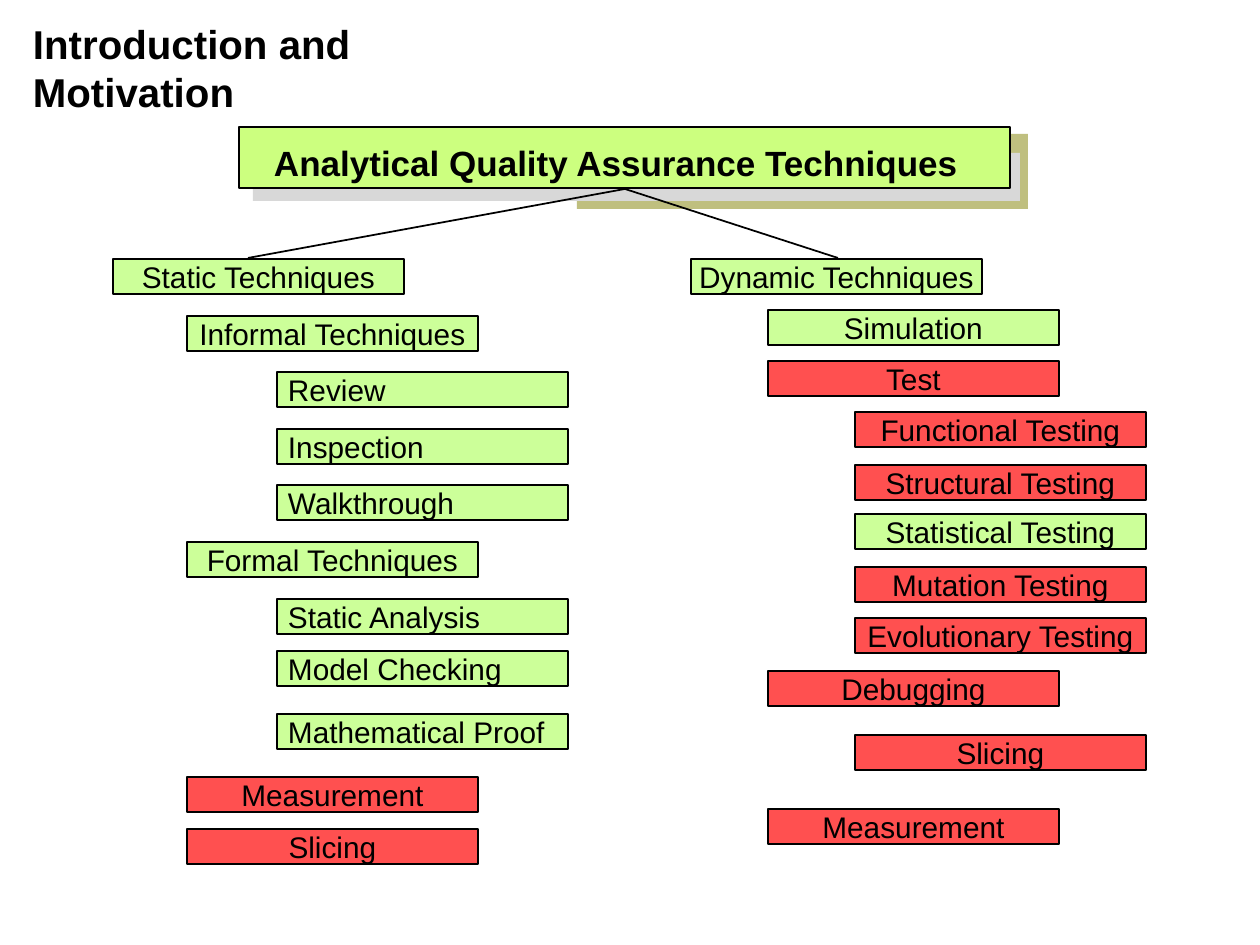
from lxml.etree import SubElement
from pptx import Presentation
from pptx.dml.color import RGBColor
from pptx.enum.shapes import MSO_CONNECTOR, MSO_SHAPE
from pptx.enum.text import MSO_ANCHOR, PP_ALIGN
from pptx.oxml.ns import qn
from pptx.util import Emu, Pt

PX = 914400 // 126
COLORS = {
    "ink": "000000",
    "green": "CCFF99",
    "red": "FF5050",
    "header": "CCFF7F",
    "olive": "BFBF7F",
    "gray": "D8D8D8",
}
TITLE = "Introduction and Motivation"
HEADER = "Analytical Quality Assurance Techniques"
HEADER_LAYERS = [
    ("olive", 577, 134, 451, 75, False),
    ("gray", 253, 153, 767, 48, False),
    ("header", 239, 127, 771, 61, True),
]
BOX_WIDTH, BOX_HEIGHT = 291, 35
STATIC = [
    ("Static Techniques", 0, 259, "green"),
    ("Informal Techniques", 1, 316, "green"),
    ("Review", 2, 372, "green"),
    ("Inspection", 2, 429, "green"),
    ("Walkthrough", 2, 485, "green"),
    ("Formal Techniques", 1, 542, "green"),
    ("Static Analysis", 2, 599, "green"),
    ("Model Checking", 2, 651, "green"),
    ("Mathematical Proof", 2, 714, "green"),
    ("Measurement", 1, 777, "red"),
    ("Slicing", 1, 829, "red"),
]
DYNAMIC = [
    ("Dynamic Techniques", 0, 259, "green"),
    ("Simulation", 1, 310, "green"),
    ("Test", 1, 361, "red"),
    ("Functional Testing", 2, 412, "red"),
    ("Structural Testing", 2, 465, "red"),
    ("Statistical Testing", 2, 514, "green"),
    ("Mutation Testing", 2, 567, "red"),
    ("Evolutionary Testing", 2, 618, "red"),
    ("Debugging", 1, 671, "red"),
    ("Slicing", 2, 735, "red"),
    ("Measurement", 1, 809, "red"),
]
BRANCHES = [
    (STATIC, (113, 187, 277), PP_ALIGN.LEFT),
    (DYNAMIC, (691, 768, 855), PP_ALIGN.CENTER),
]
FORK = (625, 189)
BRANCH_ENDS = [(248, 258), (838, 258)]


def px(*values):
    return [Emu(value * PX) for value in values]


def color(name):
    return RGBColor.from_string(COLORS[name])


def write(shape, text, size, align, bold=False, wrap=False, anchor=MSO_ANCHOR.MIDDLE):
    frame = shape.text_frame
    frame.text = text
    frame.word_wrap = wrap
    frame.vertical_anchor = anchor
    frame.margin_left, frame.margin_right = px(11, 11)
    frame.margin_top, frame.margin_bottom = px(6, 6)
    para = frame.paragraphs[0]
    para.alignment = align
    font = para.runs[0].font
    font.name, font.size, font.bold = "Arial", Pt(size), bold
    font.color.rgb = color("ink")


def add_box(page, fill, left, top, width, height, outlined=True):
    box = page.shapes.add_shape(MSO_SHAPE.RECTANGLE, *px(left, top, width, height))
    box.shadow.inherit = False
    box.fill.solid()
    box.fill.fore_color.rgb = color(fill)
    if outlined:
        box.line.color.rgb = color("ink")
        box.line.width = Pt(1)
    else:
        box.line.fill.background()
    return box


def add_line(page, start, end):
    line = page.shapes.add_connector(MSO_CONNECTOR.STRAIGHT, *px(*start, *end))
    line.line.color.rgb = color("ink")
    line.line.width = Pt(1)
    SubElement(line._element.spPr, qn("a:effectLst"))


def main():
    deck = Presentation()
    deck.slide_width, deck.slide_height = px(1260, 945)
    page = deck.slides.add_slide(deck.slide_layouts[6])

    title = page.shapes.add_textbox(*px(22, 13, 520, 60))
    write(title, TITLE, 23, PP_ALIGN.LEFT, True, True, MSO_ANCHOR.TOP)

    for layer in HEADER_LAYERS:
        add_box(page, *layer)
    header = page.shapes.add_textbox(*px(263, 132, 709, 60))
    write(header, HEADER, 20, PP_ALIGN.LEFT, True)

    for end in BRANCH_ENDS:
        add_line(page, FORK, end)

    for techniques, indents, leaf_align in BRANCHES:
        for name, level, top, fill in techniques:
            box = add_box(page, fill, indents[level], top, BOX_WIDTH, BOX_HEIGHT)
            write(box, name, 17, leaf_align if level == 2 else PP_ALIGN.CENTER)

    deck.save("out.pptx")


if __name__ == "__main__":
    main()
